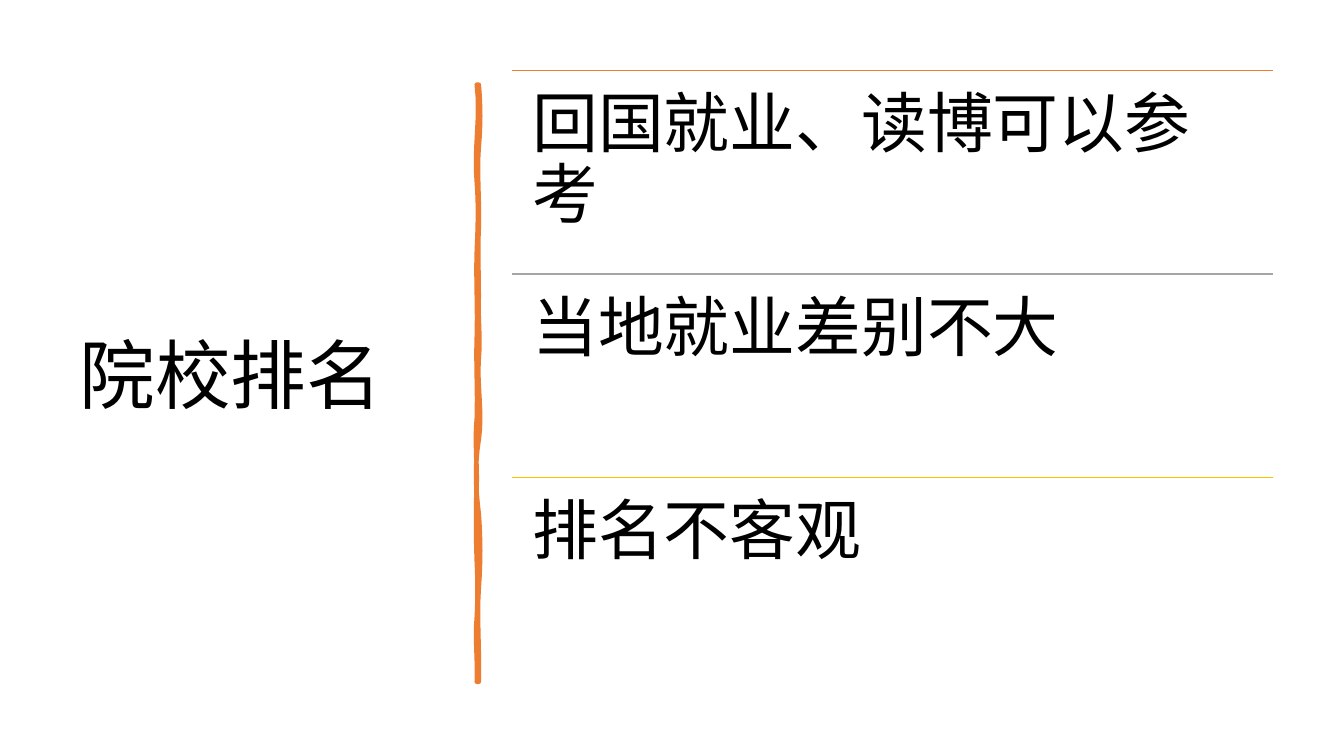
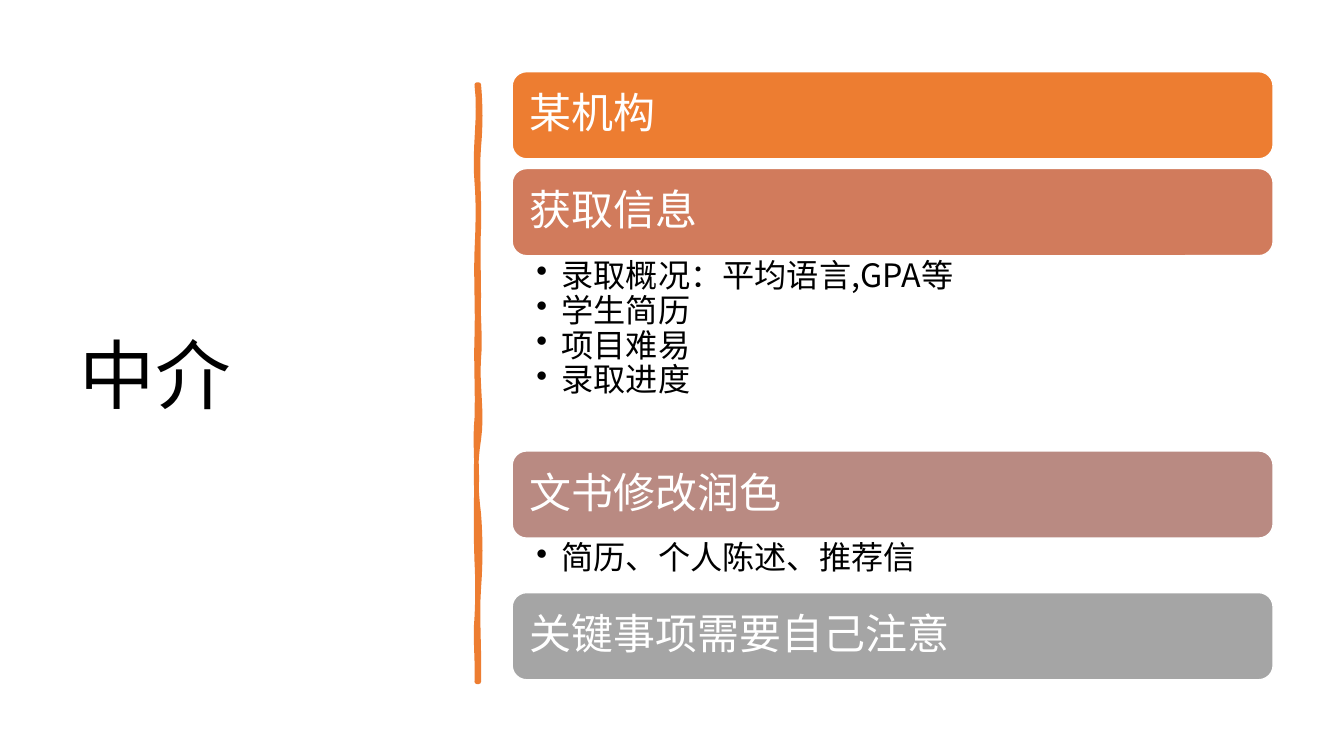
from lxml import etree
from pptx import Presentation
from pptx.dml.color import RGBColor
from pptx.enum.shapes import MSO_CONNECTOR, MSO_SHAPE
from pptx.enum.text import MSO_ANCHOR, PP_ALIGN
from pptx.oxml.ns import qn
from pptx.util import Pt

LINE = MSO_CONNECTOR.STRAIGHT
ROUND = MSO_SHAPE.ROUNDED_RECTANGLE
TOP, MIDDLE = MSO_ANCHOR.TOP, MSO_ANCHOR.MIDDLE
LEFT = PP_ALIGN.LEFT

FONT = "Noto Sans CJK SC"
BLACK = RGBColor(0x00, 0x00, 0x00)
WHITE = RGBColor(0xFF, 0xFF, 0xFF)
ORANGE = RGBColor(0xED, 0x7D, 0x31)
CORAL = RGBColor(0xD1, 0x7B, 0x5C)
ROSE = RGBColor(0xB9, 0x8A, 0x82)
GREY = RGBColor(0xA5, 0xA5, 0xA5)
GOLD = RGBColor(0xFF, 0xC0, 0x00)

RANK_TITLE = "院校排名"
RANKS = [
    ("回国就业、读博可以参考", ORANGE),
    ("当地就业差别不大", GREY),
    ("排名不客观", GOLD),
]
AGENT_TITLE = "中介"
AGENTS = [
    ("某机构", ORANGE, [], 6.9),
    ("获取信息", CORAL,
     ["录取概况：平均语言,GPA等", "学生简历", "项目难易", "录取进度"], 139.4),
    ("文书修改润色", ROSE, ["简历、个人陈述、推荐信"], 38.9),
    ("关键事项需要自己注意", GREY, [], 0),
]

BODY_X, BODY_W = 365.8, 543.6
RANK_Y, RANK_H = 50.4, 145.4
BAR_Y, BAR_H = 51.2, 62.3

STROKE_Y = 60.5
RIGHT_X, LEFT_X = 342, 340.6
RIGHT = [
    (105, 1.4, 1.4), (163, -1.4, 0.7), (212, -0.7, 0), (256, -0.7, 1.4),
    (314, -1.4, 2.9), (367, -2.9, -2.2), (420, 1.4, 1.4), (487, -1.4, 0.7),
]
BACK = [
    (441, 0.7, -1.4), (401, 0.7, 0.7), (343, -0.7, -0.7), (299, 0, -1.4),
    (241, 0.7, -0.7), (180, 0.7, -0.7), (130, 0.7, 1.4), (STROKE_Y, -2.2, 2.9),
]
STEPS = 8


def trace(x, y, waves):
    points = [(x, y)]
    for end, first, last in waves:
        for step in range(1, STEPS + 1):
            t = step / STEPS
            bulge = 3 * t * (1 - t) * ((1 - t) * first + t * last)
            points.append((x + bulge, y + (end - y) * t))
        y = end
    return points


def write(shape, lines, size, color, insets, anchor=TOP, bullet=False):
    frame = shape.text_frame
    frame.word_wrap = True
    frame.vertical_anchor = anchor
    side, edge = insets
    frame.margin_left = frame.margin_right = Pt(side)
    frame.margin_top = frame.margin_bottom = Pt(edge)
    frame.text = "\n".join(lines)
    for para in frame.paragraphs:
        para.alignment = LEFT
        para.line_spacing = 0.9
        para.font.size = Pt(size)
        para.font.name = FONT
        para.font.color.rgb = color
        for run in para.runs:
            props = run.font._element
            etree.SubElement(props, qn("a:ea"), typeface=FONT)
        if bullet:
            props = para._p.get_or_add_pPr()
            props.set("marL", str(Pt(18)))
            props.set("indent", str(Pt(-18)))
            mark = etree.Element(qn("a:buChar"), char="•")
            props.find(qn("a:defRPr")).addprevious(mark)


def add_text(slide, box, *args, **style):
    shape = slide.shapes.add_textbox(*map(Pt, box))
    write(shape, *args, **style)


def add_stroke(slide):
    points = trace(RIGHT_X, STROKE_Y, RIGHT)
    points += trace(LEFT_X, RIGHT[-1][0], BACK)
    pen = slide.shapes.build_freeform(*map(Pt, points[0]))
    pen.add_line_segments([(Pt(x), Pt(y)) for x, y in points[1:]])
    shape = pen.convert_to_shape()
    shape.shadow.inherit = False
    shape.fill.solid()
    shape.fill.fore_color.rgb = ORANGE
    shape.line.color.rgb = ORANGE
    shape.line.width = Pt(3.25)
    etree.SubElement(shape.line._get_or_add_ln(), qn("a:round"))


def add_slide(deck, title):
    slide = deck.slides.add_slide(deck.slide_layouts[6])
    add_text(slide, (49.7, 50.4, 269.3, 440), [title], 54, BLACK,
             (7.2, 3.6), anchor=MIDDLE)
    add_stroke(slide)
    return slide


def add_rule(slide, y, color):
    rule = slide.shapes.add_connector(
        LINE, Pt(BODY_X), Pt(y), Pt(BODY_X + BODY_W), Pt(y))
    rule.line.color.rgb = color
    rule.line.width = Pt(1)
    etree.SubElement(rule._element.spPr, qn("a:effectLst"))


def add_bar(slide, y, text, color):
    bar = slide.shapes.add_shape(
        ROUND, Pt(BODY_X), Pt(y), Pt(BODY_W), Pt(BAR_H))
    bar.shadow.inherit = False
    bar.fill.solid()
    bar.fill.fore_color.rgb = color
    bar.line.color.rgb = WHITE
    bar.line.width = Pt(1)
    write(bar, [text], 30, WHITE, (9.2, 6), anchor=MIDDLE)


def build_ranks(deck):
    slide = add_slide(deck, RANK_TITLE)
    for row, (text, color) in enumerate(RANKS):
        y = RANK_Y + row * RANK_H
        add_rule(slide, y, color)
        add_text(slide, (BODY_X, y, BODY_W, RANK_H), [text], 47, BLACK,
                 (14.4, 14.4))


def build_agents(deck):
    slide = add_slide(deck, AGENT_TITLE)
    y = BAR_Y
    for text, color, items, depth in AGENTS:
        add_bar(slide, y, text, color)
        y += BAR_H
        if items:
            add_text(slide, (BODY_X, y, BODY_W, depth), items, 23, BLACK,
                     (17.3, 2.9), bullet=True)
        y += depth


def main():
    """Build the two slides on ranking and agencies."""
    deck = Presentation()
    deck.slide_width, deck.slide_height = Pt(960), Pt(540)
    build_ranks(deck)
    build_agents(deck)
    deck.save("out.pptx")


if __name__ == "__main__":
    main()
